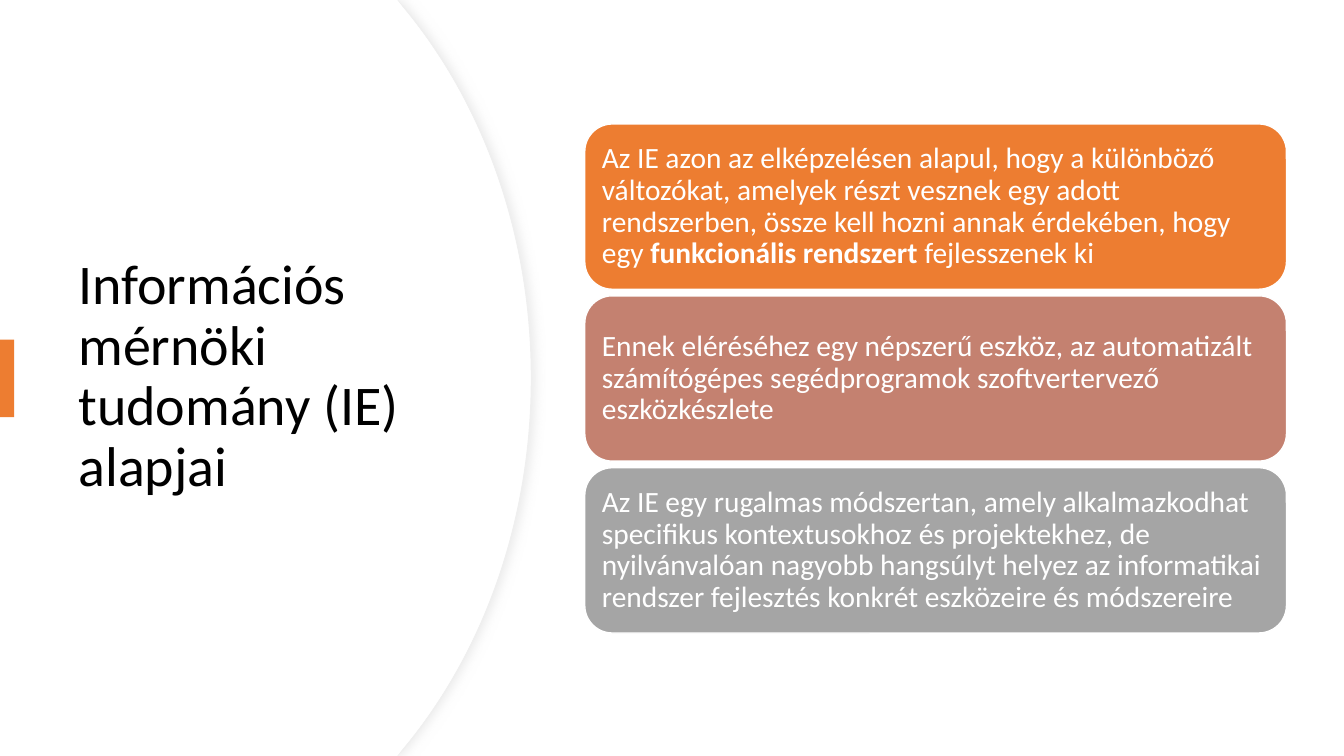
from lxml.etree import Element, SubElement
from pptx import Presentation
from pptx.dml.color import RGBColor
from pptx.enum.shapes import MSO_SHAPE
from pptx.enum.text import MSO_ANCHOR, PP_ALIGN
from pptx.oxml.ns import qn
from pptx.util import Inches, Pt

WHITE = RGBColor(0xFF, 0xFF, 0xFF)
BLACK = RGBColor(0x00, 0x00, 0x00)
EDGE = RGBColor(0xEF, 0xEF, 0xEF)
SHADE = RGBColor(0xD9, 0xD9, 0xD9)
ORANGE = RGBColor(0xED, 0x7D, 0x31)
ROSE = RGBColor(0xC4, 0x81, 0x70)
GRAY = RGBColor(0xA5, 0xA5, 0xA5)


def write(runs, box, size, color, pad=(0.1, 0.05), after=0):
    """Add a text box with one paragraph of (text, bold) runs."""
    frame = slide.shapes.add_textbox(*[Inches(side) for side in box]).text_frame
    frame.word_wrap = True
    frame.vertical_anchor = MSO_ANCHOR.MIDDLE
    frame.margin_left = frame.margin_right = Inches(pad[0])
    frame.margin_top = frame.margin_bottom = Inches(pad[1])
    para = frame.paragraphs[0]
    para.alignment = PP_ALIGN.LEFT
    para.line_spacing = 0.9
    para.space_after = Pt(after)
    for text, bold in runs:
        run = para.add_run()
        run.text = text
        run.font.name = "Calibri"
        run.font.size = Pt(size)
        run.font.bold = bold
        run.font.color.rgb = color


def panel(right):
    """Draw the white panel whose curved side reaches to right."""
    near, far = right - 1.26, right - 0.48
    dots = [(3.94, 0), (near, 0.08), (right, 3.75), (near, 7.42), (3.94, 7.5), (0, 7.5)]
    pen = slide.shapes.build_freeform(0, 0)
    pen.add_line_segments([(Inches(x), Inches(y)) for x, y in dots], close=True)
    shape = pen.convert_to_shape()

    # Bend the two long segments into Bezier curves
    lines = list(shape._element.iter(qn("a:lnTo")))
    bends = [[(far, 1.02), (right, 2.32)], [(right, 5.18), (far, 6.48)]]
    for line, bend in zip(lines[2:4], bends):
        line.tag = qn("a:cubicBezTo")
        for spot, (x, y) in enumerate(bend):
            line.insert(spot, Element(qn("a:pt"), x=str(Inches(x)), y=str(Inches(y))))

    shape.shadow.inherit = False
    shape.fill.solid()
    shape.fill.fore_color.rgb = WHITE
    shape.line.fill.background()
    return shape


deck = Presentation()
deck.slide_width = Inches(13.33)
deck.slide_height = Inches(7.5)
slide = deck.slides.add_slide(deck.slide_layouts[6])

# Curved panel: outlined with a soft shadow, then a plain one on top
back = panel(5.27)
back.line.color.rgb = EDGE
back.line.width = Pt(0.75)
effects = back._element.spPr.find(qn("a:effectLst"))
glow = SubElement(effects, qn("a:outerShdw"), blurRad=str(Pt(7)),
                  dist=str(Pt(3)), dir="0", algn="l", rotWithShape="0")
tint = SubElement(glow, qn("a:srgbClr"), val=str(SHADE))
SubElement(tint, qn("a:alpha"), val="50000")
panel(5.26)

# Title
write([("Információs mérnöki tudomány (IE) alapjai", False)],
      (0.68, 1.27, 3.94, 4.95), 40, BLACK)

# Accent bar
bar = slide.shapes.add_shape(MSO_SHAPE.RECTANGLE, 0, Inches(3.37), Inches(0.14), Inches(0.77))
bar.shadow.inherit = False
bar.fill.solid()
bar.fill.fore_color.rgb = ORANGE
bar.line.fill.background()

# Cards
cards = [
    (ORANGE, [
        ("Az IE azon az elképzelésen alapul, hogy a különböző változókat, amelyek "
         "részt vesznek egy adott rendszerben, össze kell hozni annak érdekében, "
         "hogy egy ", False),
        ("funkcionális rendszert", True),
        (" fejlesszenek ki", False)]),
    (ROSE, [
        ("Ennek eléréséhez egy népszerű eszköz, az automatizált számítógépes "
         "segédprogramok szoftvertervező eszközkészlete", False)]),
    (GRAY, [
        ("Az IE egy rugalmas módszertan, amely alkalmazkodhat specifikus "
         "kontextusokhoz és projektekhez, de nyilvánvalóan nagyobb hangsúlyt helyez "
         "az informatikai rendszer fejlesztés konkrét eszközeire és módszereire", False)]),
]
for row, (color, runs) in enumerate(cards):
    top = 1.23 + 3.41 * row / 2
    card = slide.shapes.add_shape(MSO_SHAPE.ROUNDED_RECTANGLE, Inches(5.8),
                                  Inches(top), Inches(6.96), Inches(1.64))
    card.shadow.inherit = False
    card.fill.solid()
    card.fill.fore_color.rgb = color
    card.line.color.rgb = WHITE
    card.line.width = Pt(1)
    write(runs, (5.88, top + 0.08, 6.8, 1.48), 21, WHITE, pad=(0.09, 0.09), after=7.35)

deck.save("out.pptx")
